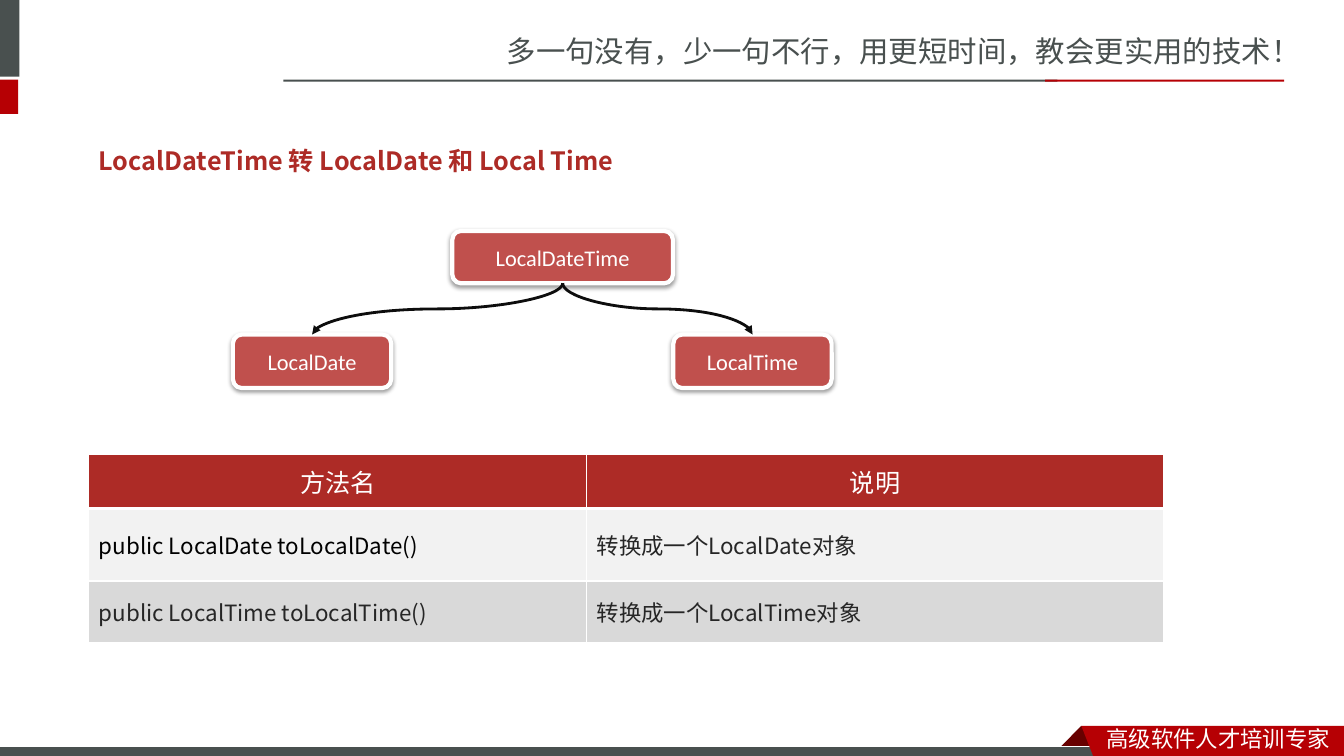
from dataclasses import dataclass
from typing import Any

from lxml import etree
from pptx import Presentation
from pptx import util as u
from pptx.dml.color import RGBColor
from pptx.enum import shapes, text
from pptx.oxml import ns


@dataclass(frozen=True)
class Theme:
    slate: str = "49504F"
    red: str = "B60004"
    dark_red: str = "680000"
    brick: str = "AD2B26"
    node: str = "C0504D"
    white: str = "FFFFFF"
    black: str = "000000"
    ink: str = "262626"
    arrow: str = "0D0D0D"
    light_row: str = "F2F2F2"
    dark_row: str = "D9D9D9"
    chinese: str = "Noto Sans CJK SC"
    body: str = "Noto Sans CJK JP"
    table_head: str = "Roboto"
    diagram: str = "Calibri"
    tagline_size: int = 21
    title_size: int = 18
    body_size: int = 16


THEME = Theme()


@dataclass(frozen=True)
class Box:
    left: float
    top: float
    width: float
    height: float

    @property
    def center(self) -> float:
        return self.left + self.width / 2

    def lengths(self) -> list[u.Cm]:
        return [u.Cm(value) for value in (self.left, self.top, self.width, self.height)]


@dataclass(frozen=True)
class Style:
    font: str
    size: int
    color: str
    bold: bool = False


@dataclass(frozen=True)
class Bar:
    box: Box
    color: str
    outlined: bool = False


@dataclass(frozen=True)
class Outline:
    points: list[tuple[float, float]]
    color: str


@dataclass(frozen=True)
class Label:
    box: Box
    words: str
    style: Style
    line_spacing: float | None = None


@dataclass(frozen=True)
class Node:
    box: Box
    words: str


@dataclass(frozen=True)
class Row:
    height: float
    fill: str
    cells: list[tuple[str, Style]]


BODY = Style(THEME.body, THEME.body_size, THEME.ink)
CODE = Style(THEME.body, THEME.body_size, THEME.black)
HEAD = Style(THEME.table_head, THEME.title_size, THEME.white)
NODE = Style(THEME.diagram, THEME.body_size, THEME.white)

HEADER_BARS = [
    Bar(Box(-0.15, 0, 0.64, 1.93), THEME.slate),
    Bar(Box(-0.15, 2.01, 0.61, 0.86), THEME.red),
    Bar(Box(7.14, 2.01, 19.51, 0.05), THEME.slate),
    Bar(Box(26.34, 2.01, 6.02, 0.05), THEME.red),
]
FOOTER_BAR = Bar(Box(-0.03, 18.82, 27.94, 0.3), THEME.slate, outlined=True)
RIBBON_FOLD = Outline(
    [(27.25, 18.29), (27.81, 18.85), (27.79, 18.87), (26.72, 18.87), (26.7, 18.85)], THEME.dark_red)
RIBBON = Outline([(27.25, 18.29), (33.87, 18.29), (33.87, 19.15), (27.58, 19.13)], THEME.red)

TAGLINE = Label(Box(12.52, 0.71, 21.36, 1.19), "多一句没有，少一句不行，用更短时间，教会更实用的技术！",
                Style(THEME.chinese, THEME.tagline_size, THEME.slate))
SLOGAN = Label(Box(27.64, 18.16, 6.22, 0.94), "高级软件人才培训专家",
               Style(THEME.chinese, THEME.body_size, THEME.white))
TITLE = Label(Box(2.24, 2.77, 17.2, 1.6), "LocalDateTime 转 LocalDate 和 Local Time",
              Style(THEME.body, THEME.title_size, THEME.brick, bold=True), line_spacing=2.0)

SOURCE_NODE = Node(Box(11.4, 5.82, 5.56, 1.32), "LocalDateTime")
TARGET_NODES = [
    Node(Box(5.87, 8.43, 3.99, 1.35), "LocalDate"),
    Node(Box(16.97, 8.43, 3.99, 1.35), "LocalTime"),
]

TABLE_LEFT, TABLE_TOP = 2.24, 11.46
COLUMN_WIDTHS = [12.55, 14.53]
ROWS = [
    Row(1.35, THEME.brick, [("方法名", HEAD), ("说明", HEAD)]),
    Row(1.83, THEME.light_row,
        [("public LocalDate toLocalDate()", CODE), ("转换成一个LocalDate对象", BODY)]),
    Row(1.55, THEME.dark_row,
        [("public LocalTime toLocalTime()", BODY), ("转换成一个LocalTime对象", BODY)]),
]


def set_values(target: Any, values: dict[str, Any]) -> None:
    for name, value in values.items():
        setattr(target, name, value)


def add_element(parent: Any, tag: str, **attributes: str) -> Any:
    element = etree.SubElement(parent, ns.qn(tag))
    for name, value in attributes.items():
        element.set(name, value)
    return element


def paint(fill: Any, color: str) -> None:
    fill.solid()
    fill.fore_color.rgb = RGBColor.from_string(color)


def write(frame: Any, words: str, style: Style, **paragraph_values: Any) -> None:
    paragraph = frame.paragraphs[0]
    set_values(paragraph, paragraph_values)
    run = paragraph.add_run()
    run.text = words
    set_values(run.font, {"name": style.font, "size": u.Pt(style.size), "bold": style.bold})
    run.font.color.rgb = RGBColor.from_string(style.color)
    add_element(run.font._element, "a:ea", typeface=style.font)


def finish(shape: Any, color: str, line_width: float = 0) -> None:
    """Give a shape a flat fill and a white line, or no line at width zero."""
    shape.shadow.inherit = False
    paint(shape.fill, color)
    if line_width:
        paint(shape.line.fill, THEME.white)
        shape.line.width = u.Pt(line_width)
    else:
        shape.line.fill.background()


def draw_bar(slide: Any, bar: Bar) -> None:
    shape = slide.shapes.add_shape(shapes.MSO_SHAPE.RECTANGLE, *bar.box.lengths())
    finish(shape, bar.color, 0.75 if bar.outlined else 0)


def draw_outline(slide: Any, outline: Outline) -> None:
    points = [(u.Cm(x), u.Cm(y)) for x, y in outline.points]
    builder = slide.shapes.build_freeform(*points[0])
    builder.add_line_segments(points[1:], close=True)
    finish(builder.convert_to_shape(), outline.color)


def draw_label(slide: Any, label: Label) -> None:
    frame = slide.shapes.add_textbox(*label.box.lengths()).text_frame
    set_values(frame, {"word_wrap": True, "auto_size": text.MSO_AUTO_SIZE.SHAPE_TO_FIT_TEXT})
    write(frame, label.words, label.style, line_spacing=label.line_spacing)


def draw_node(slide: Any, node: Node) -> None:
    shape = slide.shapes.add_shape(shapes.MSO_SHAPE.ROUNDED_RECTANGLE, *node.box.lengths())
    finish(shape, THEME.node, 3)
    effects = shape._element.spPr.find(ns.qn("a:effectLst"))
    shadow = add_element(effects, "a:outerShdw", blurRad="40000", dist="20000",
                         dir="5400000", rotWithShape="0")
    color = add_element(shadow, "a:srgbClr", val=THEME.black)
    add_element(color, "a:alpha", val="38000")
    shape.text_frame.vertical_anchor = text.MSO_ANCHOR.MIDDLE
    write(shape.text_frame, node.words, NODE, alignment=text.PP_ALIGN.CENTER)


def draw_arrow(slide: Any, source: Box, target: Box) -> None:
    """Curve down from source to target: a sideways curve turned by a quarter."""
    start_y, end_y = source.top + source.height, target.top
    middle_x, middle_y = (source.center + target.center) / 2, (start_y + end_y) / 2
    side = 1 if target.center < source.center else -1
    half_width = side * (end_y - start_y) / 2
    half_height = abs(target.center - source.center) / 2
    connector = slide.shapes.add_connector(
        shapes.MSO_CONNECTOR.CURVE,
        u.Cm(middle_x - half_width), u.Cm(middle_y - half_height),
        u.Cm(middle_x + half_width), u.Cm(middle_y + half_height))
    properties = connector._element.spPr
    properties.find(ns.qn("a:xfrm")).set("rot", str((180 - side * 90) * 60000))
    paint(connector.line.fill, THEME.arrow)
    connector.line.width = u.Pt(2)
    add_element(connector.line._get_or_add_ln(), "a:tailEnd", type="triangle")
    add_element(properties, "a:effectLst")


def add_border(cell: Any, side: str, points: float) -> None:
    line = add_element(cell._tc.get_or_add_tcPr(), f"a:ln{side}", w=str(u.Pt(points)))
    add_element(add_element(line, "a:solidFill"), "a:srgbClr", val=THEME.white)


def draw_table(slide: Any) -> None:
    box = Box(TABLE_LEFT, TABLE_TOP, sum(COLUMN_WIDTHS), sum(row.height for row in ROWS))
    table = slide.shapes.add_table(len(ROWS), len(COLUMN_WIDTHS), *box.lengths()).table
    for column, width in zip(table.columns, COLUMN_WIDTHS):
        column.width = u.Cm(width)
    head_format = {"alignment": text.PP_ALIGN.CENTER, "line_spacing": u.Pt(24)}
    for row_index, row in enumerate(ROWS):
        table.rows[row_index].height = u.Cm(row.height)
        borders = {"L": 1, "R": 1, "T": 3 if row_index == 1 else 1, "B": 3 if row_index == 0 else 1}
        for column_index, (words, style) in enumerate(row.cells):
            cell = table.cell(row_index, column_index)
            for side, points in borders.items():
                add_border(cell, side, points)
            paint(cell.fill, row.fill)
            cell.vertical_anchor = text.MSO_ANCHOR.MIDDLE
            write(cell.text_frame, words, style, **(head_format if row_index == 0 else {}))


def main() -> None:
    presentation = Presentation()
    set_values(presentation, {"slide_width": u.Cm(33.87), "slide_height": u.Cm(19.05)})
    slide = presentation.slides.add_slide(presentation.slide_layouts[6])
    draw_label(slide, TAGLINE)
    for bar in HEADER_BARS:
        draw_bar(slide, bar)
    draw_outline(slide, RIBBON_FOLD)
    draw_bar(slide, FOOTER_BAR)
    draw_outline(slide, RIBBON)
    draw_label(slide, SLOGAN)
    for node in [*TARGET_NODES, SOURCE_NODE]:
        draw_node(slide, node)
    for node in TARGET_NODES:
        draw_arrow(slide, SOURCE_NODE.box, node.box)
    draw_table(slide)
    draw_label(slide, TITLE)
    presentation.save("out.pptx")


if __name__ == "__main__":
    main()
